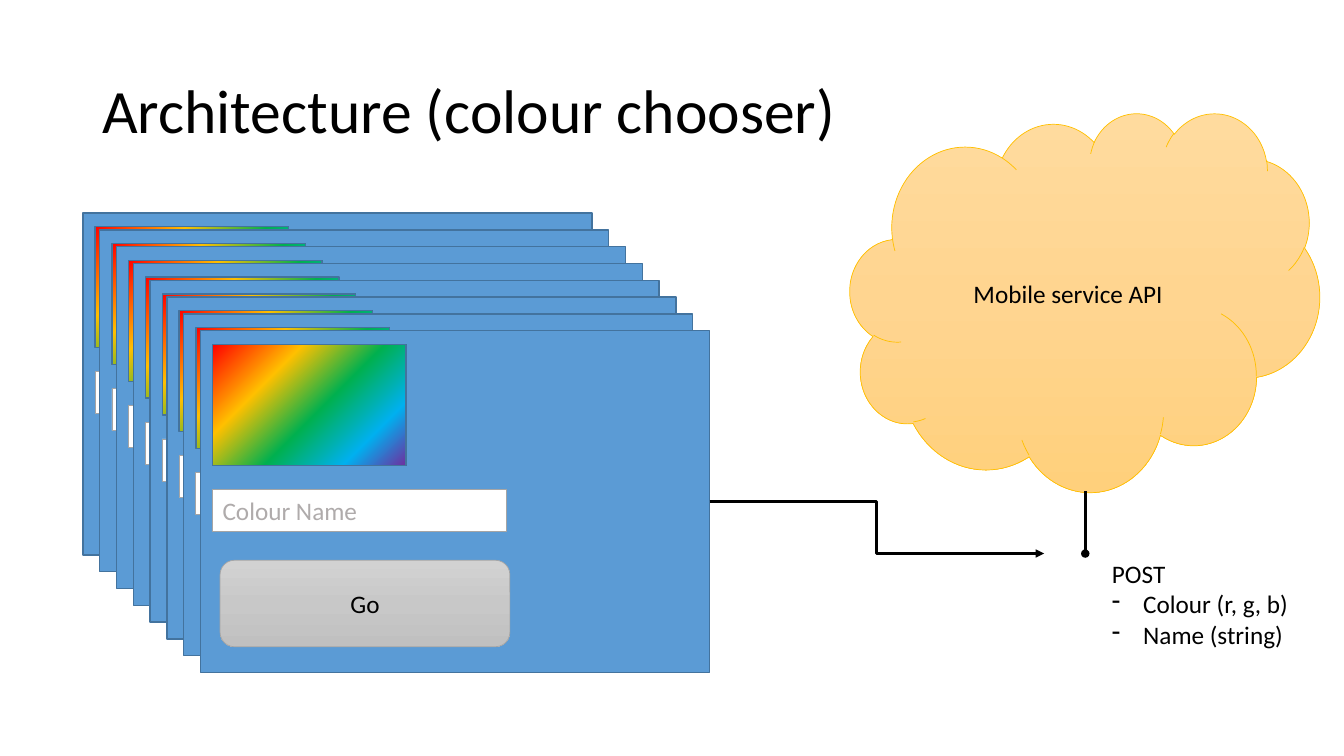
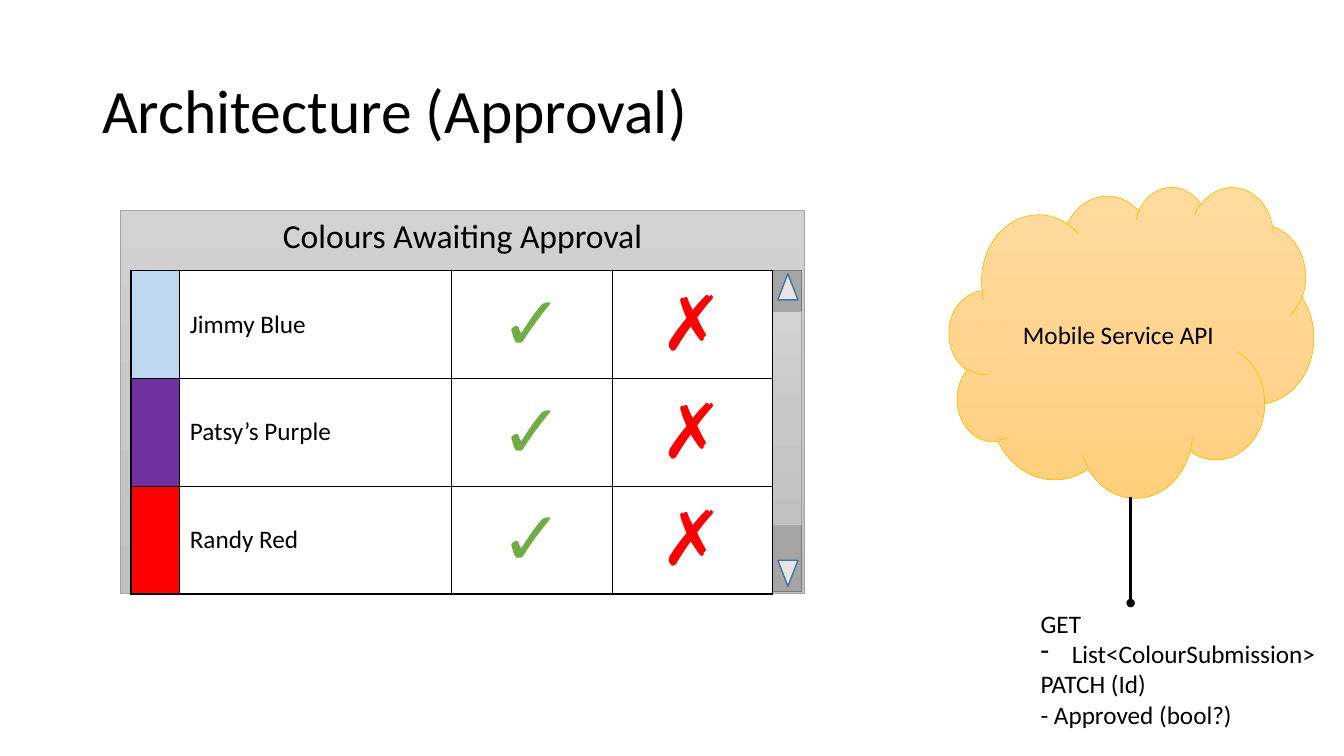
from dataclasses import dataclass

from lxml.etree import SubElement
from pptx import Presentation
from pptx.dml.color import RGBColor
from pptx.enum.shapes import MSO_CONNECTOR as Link, MSO_SHAPE as Kind
from pptx.enum.text import MSO_ANCHOR as Anchor, MSO_AUTO_SIZE as Fit, PP_ALIGN as Align
from pptx.oxml.ns import qn
from pptx.util import Inches, Pt

COLUMNS, ROWS = 160, 90
RIGHT_SIDE = 3


@dataclass(frozen=True)
class Theme:
    font: str = "Calibri"
    ink: str = "000000"
    paper: str = "FFFFFF"
    panel: str = "5B9BD5"
    panel_edge: str = "43739E"
    hint: str = "AFABAB"
    grey: str = "A5A5A5"
    track_edge: str = "7A7A7A"
    arrow: str = "E7E6E6"
    cloud_edge: str = "FFC000"
    yes: str = "70AD47"
    no: str = "FF0000"
    light_blue: str = "BDD7EE"
    purple: str = "7030A0"
    red: str = "FF0000"
    # Gradients: angle, then (position in percent, colour) stops
    rainbow: tuple = (45, ((0, "FF0000"), (29, "FFC000"), (55, "00B050"),
                           (80, "00B0F0"), (100, "7030A0")))
    silver: tuple = (90, ((0, "D2D2D2"), (50, "C8C8C8"), (100, "C0C0C0")))
    gold: tuple = (90, ((0, "FFDB9E"), (50, "FFD590"), (100, "FFD07C")))
    title_size: int = 44
    heading_size: int = 24
    body_size: int = 18
    mark_size: int = 54
    hairline: float = 0.5
    outline: float = 1
    stroke: float = 2


class Deck:
    """Draws on the current page; all lengths are grid columns and rows."""

    def __init__(self, theme):
        self.theme = theme
        self.show = Presentation()
        self.show.slide_width = Inches(13.33)
        self.show.slide_height = Inches(7.5)
        self.page = None

    def x(self, columns):
        return round(self.show.slide_width * columns / COLUMNS)

    def y(self, rows):
        return round(self.show.slide_height * rows / ROWS)

    def place(self, left, top, width, height):
        return self.x(left), self.y(top), self.x(width), self.y(height)

    def add_page(self, title):
        self.page = self.show.slides.add_slide(self.show.slide_layouts[6])
        frame = self.page.shapes.add_textbox(*self.place(11, 4.8, 138, 17.4)).text_frame
        frame.word_wrap = True
        frame.vertical_anchor = Anchor.MIDDLE
        para = frame.paragraphs[0]
        para.line_spacing = 0.9
        self.add_span(para, title, self.theme.title_size)

    def add_span(self, para, text, size=None, color=None):
        span = para.add_run()
        span.text = text
        span.font.name = self.theme.font
        span.font.size = Pt(size or self.theme.body_size)
        span.font.color.rgb = RGBColor.from_string(color or self.theme.ink)

    def paint(self, shape, fill):
        """Fill with one colour or with an (angle, stops) gradient."""
        if isinstance(fill, str):
            shape.fill.solid()
            shape.fill.fore_color.rgb = RGBColor.from_string(fill)
            return
        angle, stops = fill
        gradient = SubElement(shape.element.spPr, qn("a:gradFill"), rotWithShape="1")
        stop_list = SubElement(gradient, qn("a:gsLst"))
        for position, color in stops:
            stop = SubElement(stop_list, qn("a:gs"), pos=str(position * 1000))
            SubElement(stop, qn("a:srgbClr"), val=color)
        SubElement(gradient, qn("a:lin"), ang=str(angle * 60000), scaled="0")

    def add_box(self, kind, area, fill, edge, weight, text=None, size=None,
                color=None, align=Align.CENTER, anchor=Anchor.MIDDLE):
        box = self.page.shapes.add_shape(kind, *self.place(*area))
        self.paint(box, fill)
        box.line.color.rgb = RGBColor.from_string(edge)
        box.line.width = Pt(weight)
        box.shadow.inherit = False
        if text:
            frame = box.text_frame
            frame.word_wrap = True
            frame.vertical_anchor = anchor
            para = frame.paragraphs[0]
            para.alignment = align
            self.add_span(para, text, size, color)
        return box

    def add_cloud(self, area, text):
        self.add_box(Kind.CLOUD, area, self.theme.gold, self.theme.cloud_edge,
                     self.theme.hairline, text)

    def add_silver(self, kind, area, text=None, **style):
        return self.add_box(kind, area, self.theme.silver, self.theme.grey,
                            self.theme.hairline, text, **style)

    def add_link(self, start, end, tip, kind=Link.STRAIGHT, source=None):
        """Draw a connector; source is an optional shape left by its right side."""
        link = self.page.shapes.add_connector(
            kind, self.x(start[0]), self.y(start[1]), self.x(end[0]), self.y(end[1]))
        if source is not None:
            link.begin_connect(source, RIGHT_SIDE)
        link.line.color.rgb = RGBColor.from_string(self.theme.ink)
        link.line.width = Pt(self.theme.stroke)
        properties = link.element.spPr
        SubElement(properties.find(qn("a:ln")), qn("a:tailEnd"), type=tip)
        SubElement(properties, qn("a:effectLst"))

    def add_note(self, area, lines):
        """Write (text, bulleted) lines in a box that fits its text."""
        frame = self.page.shapes.add_textbox(*self.place(*area)).text_frame
        frame.word_wrap = False
        frame.auto_size = Fit.SHAPE_TO_FIT_TEXT
        for index, (text, bulleted) in enumerate(lines):
            para = frame.add_paragraph() if index else frame.paragraphs[0]
            if bulleted:
                indent = Inches(0.31)
                properties = para._p.get_or_add_pPr()
                properties.set("marL", str(indent))
                properties.set("indent", str(-indent))
                SubElement(properties, qn("a:buChar"), char="-")
            self.add_span(para, text)

    def add_cell(self, cell, fill, text=None, size=None, color=None, align=Align.LEFT):
        properties = cell._tc.get_or_add_tcPr()
        for side in ("a:lnL", "a:lnR", "a:lnT", "a:lnB"):
            border = SubElement(properties, qn(side), w=str(Pt(self.theme.outline)))
            solid = SubElement(border, qn("a:solidFill"))
            SubElement(solid, qn("a:srgbClr"), val=self.theme.ink)
        cell.fill.solid()
        cell.fill.fore_color.rgb = RGBColor.from_string(fill)
        cell.vertical_anchor = Anchor.MIDDLE
        if text:
            para = cell.text_frame.paragraphs[0]
            para.alignment = align
            self.add_span(para, text, size, color)

    def add_approvals(self, left, top, widths, row_height, entries):
        """Tabulate (colour, name) entries with a tick and a cross each."""
        theme = self.theme
        area = self.place(left, top, sum(widths), row_height * len(entries))
        table = self.page.shapes.add_table(len(entries), len(widths), *area).table
        table.first_row = table.horz_banding = False
        for column, width in zip(table.columns, widths):
            column.width = self.x(width)
        for index, (color, name) in enumerate(entries):
            table.rows[index].height = self.y(row_height)
            swatch, label, tick, cross = table.rows[index].cells
            self.add_cell(swatch, color)
            self.add_cell(label, theme.paper, name)
            for cell, mark, ink in ((tick, "✓", theme.yes), (cross, "✗", theme.no)):
                self.add_cell(cell, theme.paper, mark, theme.mark_size, ink, Align.CENTER)

    def add_chooser(self, left, top):
        """Draw one colour chooser window and return its panel."""
        theme = self.theme
        panel = self.add_box(Kind.RECTANGLE, (left, top, 60.6, 40.7), theme.panel,
                             theme.panel_edge, theme.outline)
        self.add_box(Kind.RECTANGLE, (left + 1.44, top + 1.64, 23.04, 14.4),
                     theme.rainbow, theme.panel_edge, theme.outline)
        self.add_box(Kind.RECTANGLE, (left + 1.44, top + 18.9, 34.92, 5),
                     theme.paper, theme.grey, theme.hairline, "Colour Name",
                     color=theme.hint, align=Align.LEFT)
        return panel


def build_chooser_page(deck):
    deck.add_page("Architecture (colour chooser)")
    count, step = 8, 2
    for index in range(count):
        front = deck.add_chooser(9.88 + index * step, 25.36 + index * step)
    deck.add_silver(Kind.ROUNDED_RECTANGLE, (26.2, 66.7, 34.5, 10.3), "Go")
    deck.add_cloud((101.2, 13.4, 55.9, 45.1), "Mobile service API")
    deck.add_link((129.2, 58.5), (129.2, 65.9), "oval")
    deck.add_note((131.2, 65.9, 23.6, 12.1),
                  (("POST", False), ("Colour (r, g, b)", True), ("Name (string)", True)))
    deck.add_link((84.48, 59.71), (124.3, 65.9), "triangle", Link.ELBOW, front)


def build_approval_page(deck):
    theme = deck.theme
    deck.add_page("Architecture (Approval)")
    deck.add_cloud((113, 22.2, 43.4, 37), "Mobile Service API")
    deck.add_link((134.6, 59.2), (134.6, 71.8), "oval")

    deck.add_silver(Kind.RECTANGLE, (14.3, 25, 81.5, 45.6), "Colours Awaiting Approval",
                    size=theme.heading_size, anchor=Anchor.TOP)
    list_top, bar_left, bar_width = 32.2, 91.9, 3.5
    deck.add_box(Kind.RECTANGLE, (bar_left, list_top, bar_width, 38.2), theme.grey,
                 theme.track_edge, theme.outline)
    deck.add_silver(Kind.RECTANGLE, (bar_left, 37.1, bar_width, 25.5))
    for top, turn in ((32.6, 0), (66.7, 180)):
        arrow = deck.add_box(Kind.ISOSCELES_TRIANGLE, (bar_left + 0.7, top, 2.4, 3.1),
                             theme.arrow, theme.panel_edge, theme.outline)
        arrow.rotation = turn
    deck.add_approvals(15.6, list_top, (5.8, 32.4, 19.1, 19.1), 12.84, (
        (theme.light_blue, "Jimmy Blue"),
        (theme.purple, "Patsy’s Purple"),
        (theme.red, "Randy Red")))

    deck.add_note((122.7, 71.8, 35.5, 15.7), (
        ("GET", False), ("List<ColourSubmission>", True),
        ("PATCH (Id)", False), ("- Approved (bool?)", False)))


def main():
    deck = Deck(Theme())
    build_chooser_page(deck)
    build_approval_page(deck)
    deck.show.save("out.pptx")


if __name__ == "__main__":
    main()
